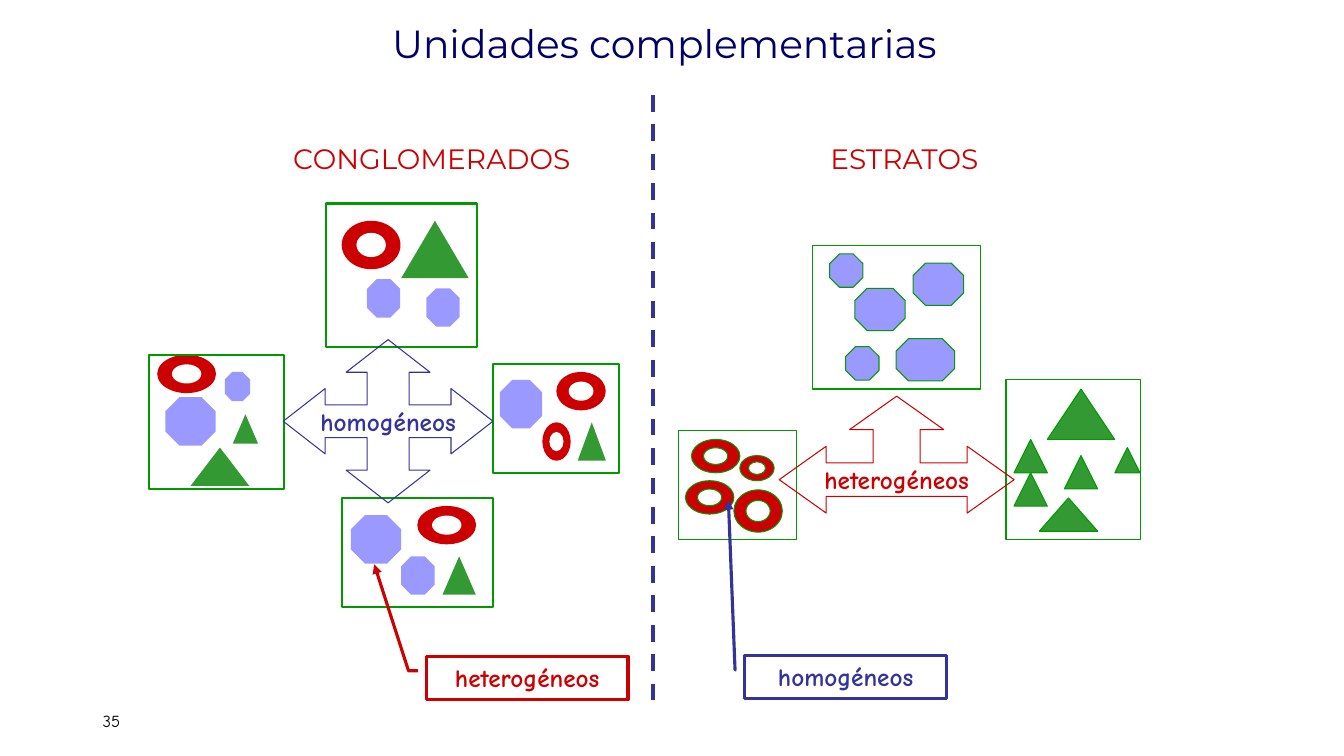
from pptx import Presentation
from pptx import util as u
from pptx.dml.color import RGBColor
from pptx.enum import dml, shapes, text
from pptx.oxml import ns
from lxml import etree

NAVY = RGBColor(0x00, 0x00, 0x66)
BLUE = RGBColor(0x33, 0x33, 0x99)
LILAC = RGBColor(0x99, 0x99, 0xFF)
RED = RGBColor(0xCC, 0x00, 0x00)
GREEN = RGBColor(0x33, 0x99, 0x33)
FRAME_GREEN = RGBColor(0x00, 0x99, 0x00)
WHITE = RGBColor(0xFF, 0xFF, 0xFF)
BLACK = RGBColor(0x00, 0x00, 0x00)
HAND, SANS = "Comic Neue", "Montserrat"


def write(shape, words, font, size, colour, align=text.PP_ALIGN.CENTER,
          anchor=text.MSO_ANCHOR.MIDDLE):
    box = shape.text_frame
    box.word_wrap = True
    box.auto_size = text.MSO_AUTO_SIZE.NONE
    box.vertical_anchor = anchor
    para = box.paragraphs[0]
    para.alignment = align
    span = para.add_run()
    span.text = words
    span.font.name = font
    span.font.size = u.Pt(size)
    span.font.bold = font == HAND and colour != BLACK
    span.font.color.rgb = colour


def paint(shape, fill, line, width):
    """Set fill and line; None means there is none."""
    shape.shadow.inherit = False
    if fill is None:
        shape.fill.background()
    else:
        shape.fill.solid()
        shape.fill.fore_color.rgb = fill
    if line is None:
        shape.line.fill.background()
    else:
        shape.line.color.rgb = line
        shape.line.width = u.Pt(width)


deck = Presentation()
deck.slide_width, deck.slide_height = u.Pt(960), u.Pt(540)
page = deck.slides.add_slide(deck.slide_layouts[5])

title = page.shapes.title
title.left, title.top, title.width, title.height = map(u.Pt, (168.5, 9.4, 612, 41.8))
write(title, "Unidades complementarias", SANS, 28, NAVY,
      anchor=text.MSO_ANCHOR.BOTTOM)

number = page.shapes.add_textbox(*map(u.Pt, (66.2, 500.4, 216, 28.8)))
write(number, "35", HAND, 12, BLACK, text.PP_ALIGN.LEFT)

# Each panel: frame, then its triangles, octagons and rings (left, top, width, height)
clusters = [
    ((106.6, 253.4, 96, 96),
     [(136.1, 319.7, 42, 27.4), (166.3, 295.9, 18, 20.9)],
     [(118.1, 283.7, 36, 34.6), (160.6, 265.7, 18, 20.9)],
     [(112.3, 253.4, 42, 27.4)]),
    ((232.6, 145.4, 108, 102.2),
     [(286.6, 157.7, 48.2, 41)],
     [(304.6, 205.9, 23.8, 27.4), (262.1, 199.4, 23.8, 27.4)],
     [(244.1, 157.7, 42, 34.6)]),
    ((244.1, 355.7, 108, 77.8),
     [(316.1, 397.4, 23.8, 27.4)],
     [(250.6, 367.9, 36, 34.6), (286.6, 397.4, 23.8, 27.4)],
     [(298.1, 361.4, 42, 27.4)]),
    ((352.1, 259.9, 90, 77.8),
     [(412.6, 301.7, 20.2, 27.4)],
     [(357.1, 271.4, 30.2, 34.6)],
     [(387.4, 301.7, 20.2, 27.4), (397.4, 265.7, 35.3, 27.4)]),
]
strata = [
    ((718.6, 271.4, 95.8, 113.8),
     [(724.3, 313.9, 23.8, 23.8), (760.3, 325.4, 23.8, 23.8),
      (742.3, 355.7, 41.8, 23.8), (724.3, 337.7, 23.8, 23.8),
      (796.3, 319.7, 18, 18), (748.1, 277.9, 48.2, 36)], [], []),
    ((580.3, 175.7, 120.2, 102.2), [],
     [(610.6, 205.9, 36, 30.2), (640.1, 241.9, 41.8, 30.2),
      (652.3, 187.9, 36, 30.2), (592.6, 181.4, 23.8, 23.8),
      (604.1, 247.7, 23.8, 23.8)], []),
    ((484.6, 307.4, 84.2, 77.8), [], [],
     [(493.9, 313.9, 34.6, 23.8), (528.5, 325.4, 24.5, 18),
      (489.6, 343.4, 34.6, 23.8), (524.2, 349.9, 34.6, 30.2)]),
]

# Arrow corners as (column in tenths of the width, row in steps of the height)
upper_head = [(5, 0), (7, 2), (6, 2), (6, 4), (8, 4), (8, 3), (10, 5)]
four_way = upper_head + [(8, 7), (8, 6), (6, 6), (6, 8), (7, 8), (5, 10)]
four_way += [(10 - column, row) for column, row in four_way[-2:0:-1]]
three_way = upper_head + [(8, 7), (8, 6)]
three_way += [(10 - column, row) for column, row in three_way[:0:-1]]

sides = [
    ("CONGLOMERADOS", (202.3, 97.9, 239.8, 31), clusters, 1.5, None,
     "homogéneos", BLUE, four_way, 10, (202.3, 242.6, 149.8, 116.6), 0),
    ("ESTRATOS", (586.1, 97.9, 138.2, 31), strata, 0.75, FRAME_GREEN,
     "heterogéneos", RED, three_way, 7, (556.6, 283, 167.8, 83.5), 35),
]
for (heading, heading_place, panels, frame_width, edge, relation, colour,
     corners, rows, arrow_place, text_drop) in sides:
    group = page.shapes.add_group_shape().shapes
    heading_box = group.add_textbox(*map(u.Pt, heading_place))
    write(heading_box, heading, SANS, 20, RED, text.PP_ALIGN.LEFT)

    for frame_place, triangles, octagons, rings in panels:
        pieces = [(shapes.MSO_SHAPE.ISOSCELES_TRIANGLE, GREEN, place) for place in triangles]
        pieces += [(shapes.MSO_SHAPE.OCTAGON, LILAC, place) for place in octagons]
        for left, top, width, height in rings:
            hole = (left + width / 4, top + height / 4, width / 2, height / 2)
            pieces.append((shapes.MSO_SHAPE.OVAL, RED, (left, top, width, height)))
            pieces.append((shapes.MSO_SHAPE.OVAL, WHITE, hole))
        for preset, fill, place in pieces:
            paint(group.add_shape(preset, *map(u.Pt, place)), fill, edge, 0.75)
        frame = group.add_shape(shapes.MSO_SHAPE.RECTANGLE, *map(u.Pt, frame_place))
        paint(frame, None, FRAME_GREEN, frame_width)

    left, top, width, height = arrow_place
    points = [(u.Pt(left + width * column / 10), u.Pt(top + height * row / rows))
              for column, row in corners]
    builder = page.shapes.build_freeform(*points[0])
    builder.add_line_segments(points[1:], close=True)
    arrow = builder.convert_to_shape()
    paint(arrow, None, colour, 0.75)
    write(arrow, relation, HAND, 18, colour)
    arrow.text_frame.margin_top = u.Pt(3.6 + text_drop)
    arrow.text_frame.paragraphs[0].space_before = u.Pt(9)

divider = page.shapes.add_connector(shapes.MSO_CONNECTOR.STRAIGHT,
                                    *map(u.Pt, (466.6, 67.7, 466.6, 499.7)))
divider.line.color.rgb = BLUE
divider.line.width = u.Pt(3)
divider.line.dash_style = dml.MSO_LINE.DASH
etree.SubElement(divider._element.spPr, ns.qn("a:effectLst"))

callouts = [
    ("heterogéneos", RED, 304.6, 468.7, (0.336, -0.042, 0.336, -0.089, -2.117, -0.259)),
    ("homogéneos", BLUE, 532.1, 468, (0.336, -0.042, 0.336, -0.049, -3.57, -0.082)),
]
for words, colour, left, top, pointer in callouts:
    callout = page.shapes.add_shape(shapes.MSO_SHAPE.LINE_CALLOUT_2,
                                    *map(u.Pt, (left, top, 144, 31)))
    for index, value in enumerate(pointer):
        callout.adjustments[index] = value
    paint(callout, None, colour, 2.25)
    etree.SubElement(callout.line._get_or_add_ln(), ns.qn("a:tailEnd"), type="triangle")
    write(callout, words, HAND, 18, colour)

deck.save("out.pptx")
